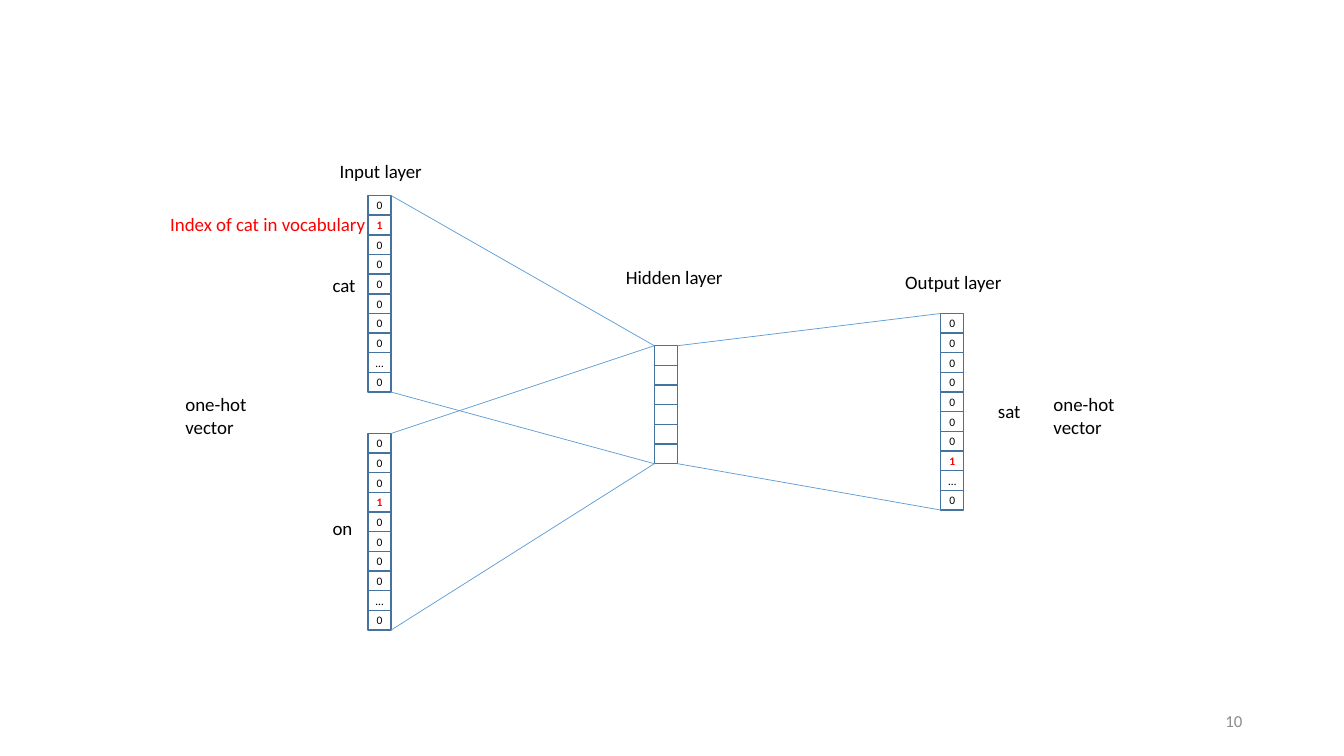
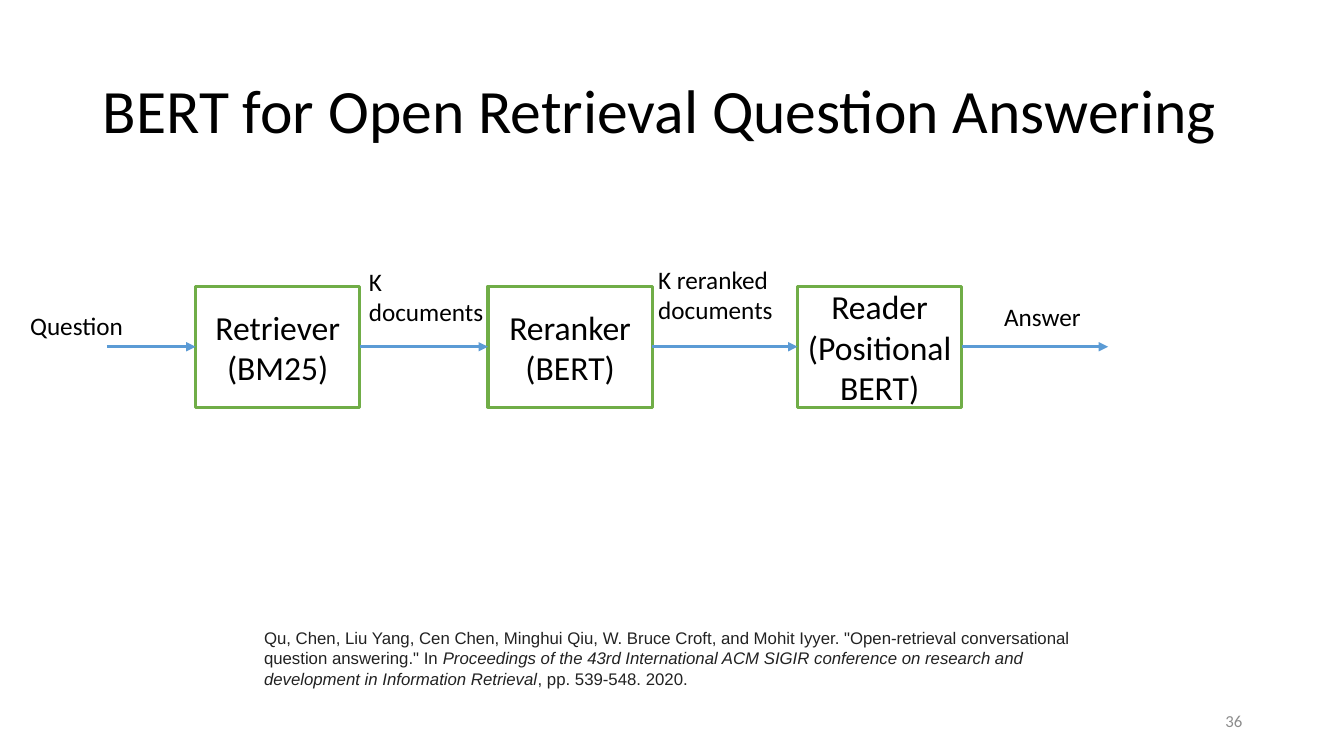
from pptx import Presentation
from pptx.dml.color import RGBColor
from pptx.enum.shapes import MSO_CONNECTOR, MSO_SHAPE
from pptx.enum.text import MSO_ANCHOR, PP_ALIGN
from pptx.oxml.ns import qn
from pptx.util import Inches, Pt
from lxml import etree

RECT = MSO_SHAPE.RECTANGLE
LINE = MSO_CONNECTOR.STRAIGHT
TOP, MID = MSO_ANCHOR.TOP, MSO_ANCHOR.MIDDLE
LEFT, MIDDLE, RIGHT = PP_ALIGN.LEFT, PP_ALIGN.CENTER, PP_ALIGN.RIGHT

BLACK = RGBColor(0x00, 0x00, 0x00)
WHITE = RGBColor(0xFF, 0xFF, 0xFF)
RED = RGBColor(0xFF, 0x00, 0x00)
GREY = RGBColor(0x8C, 0x8C, 0x8C)
DARK = RGBColor(0x22, 0x22, 0x22)
BLUE = RGBColor(0x5B, 0x9B, 0xD5)
NAVY = RGBColor(0x43, 0x73, 0x9E)
GREEN = RGBColor(0x70, 0xAD, 0x47)
FONT = "Calibri"


def write(shape, text, size, color=BLACK, align=LEFT, anchor=TOP, wrap=True):
    """Put text in a shape, one paragraph per line."""
    frame = shape.text_frame
    frame.text = text
    frame.word_wrap = wrap
    frame.vertical_anchor = anchor
    for para in frame.paragraphs:
        para.alignment = align
        para.font.name = FONT
        para.font.size = Pt(size)
        para.font.color.rgb = color
    return frame


def link(slide, x1, y1, x2, y2, width, arrow=False):
    """Draw a straight blue line, with an arrowhead if asked."""
    line = slide.shapes.add_connector(
        LINE, Inches(x1), Inches(y1), Inches(x2), Inches(y2))
    line.line.color.rgb = BLUE
    line.line.width = Pt(width)
    props = line._element.spPr
    if arrow:
        etree.SubElement(props.find(qn("a:ln")), qn("a:tailEnd"), type="triangle")
    etree.SubElement(props, qn("a:effectLst"))


deck = Presentation()
deck.slide_width, deck.slide_height = Inches(13.33), Inches(7.5)
blank = deck.slide_layouts[6]

# Slides with their page numbers
net, flow = [deck.slides.add_slide(blank) for _ in range(2)]
for slide, page in ((net, "10"), (flow, "36")):
    box = slide.shapes.add_textbox(Inches(9.42), Inches(6.95), Inches(3), Inches(0.4))
    write(box, page, 12, GREY, RIGHT, MID)

# Word vectors: left, top, cells
WIDE, HIGH = 0.23, 0.195
vectors = [
    (3.65, 1.94, "01000000…0"),
    (3.65, 4.3, "00010000…0"),
    (6.49, 3.43, " " * 6),
    (9.33, 3.11, "00000001…0"),
]
for left, top, cells in vectors:
    for row, mark in enumerate(cells):
        cell = net.shapes.add_shape(RECT, Inches(left), Inches(top + row * HIGH),
                                    Inches(WIDE), Inches(HIGH))
        cell.shadow.inherit = False
        cell.fill.background()
        cell.line.color.rgb = NAVY
        cell.line.width = Pt(1)
        hot = mark == "1"
        frame = write(cell, mark.strip(), 8.2, RED if hot else BLACK,
                      MIDDLE, MID, False)
        frame.paragraphs[0].font.bold = hot
        frame.margin_left = frame.margin_right = 0
        frame.margin_top = frame.margin_bottom = 0

# Lines between the corners of linked vectors
cat, on, hidden, sat = vectors
for start, end in ((cat, hidden), (on, hidden), (hidden, sat)):
    for edge in (0, HIGH):
        link(net, start[0] + WIDE, start[1] + edge * len(start[2]),
             end[0], end[1] + edge * len(end[2]), 0.5)

# Labels of the network
labels = [
    (3.27, 1.53, 1.03, 0.33, "Input layer", BLACK),
    (6.11, 2.59, 1.18, 0.33, "Hidden layer", BLACK),
    (8.88, 2.64, 1.17, 0.33, "Output layer", BLACK),
    (3.2, 2.67, 0.43, 0.33, "cat", BLACK),
    (3.2, 5.08, 0.4, 0.33, "on", BLACK),
    (9.8, 3.92, 0.43, 0.33, "sat", BLACK),
    (1.74, 3.85, 0.82, 0.56, "one-hot\nvector", BLACK),
    (10.35, 3.85, 0.82, 0.56, "one-hot\nvector", BLACK),
    (1.59, 2.06, 2.17, 0.33, "Index of cat in vocabulary", RED),
]
for *place, text, color in labels:
    box = net.shapes.add_textbox(*map(Inches, place))
    write(box, text, 13.5, color, wrap=False)

# Title
box = flow.shapes.add_textbox(Inches(0.92), Inches(0.4), Inches(11.5), Inches(1.45))
frame = write(box, "BERT for Open Retrieval Question Answering", 44, anchor=MID)
frame.paragraphs[0].line_spacing = 0.9

# Stages
SIDE, TALL, ROW = 1.63, 1.2, 3.44
stages = [
    (1.94, "Retriever\n(BM25)"),
    (4.84, "Reranker\n(BERT)"),
    (7.91, "Reader\n(Positional BERT)"),
]
for left, text in stages:
    stage = flow.shapes.add_shape(RECT, Inches(left), Inches(ROW - TALL / 2),
                                  Inches(SIDE), Inches(TALL))
    stage.shadow.inherit = False
    stage.fill.solid()
    stage.fill.fore_color.rgb = WHITE
    stage.line.color.rgb = GREEN
    stage.line.width = Pt(2.25)
    write(stage, text, 24, align=MIDDLE, anchor=MID)

# Arrows into, between and out of the stages
starts = [1.06] + [left + SIDE for left, _ in stages]
ends = [left for left, _ in stages] + [10.99]
for start, end in zip(starts, ends):
    link(flow, start, ROW, end, ROW, 2.25, arrow=True)

# Arrow labels
for *place, text in [
    (0.2, 3.03, 1.25, 0.4, "Question"),
    (3.56, 2.59, 1.38, 0.71, "K documents"),
    (6.43, 2.57, 1.38, 0.71, "K reranked documents"),
    (9.86, 2.94, 1.25, 0.4, "Answer"),
]:
    box = flow.shapes.add_textbox(*map(Inches, place))
    write(box, text, 18)

# Citation
box = flow.shapes.add_textbox(Inches(2.52), Inches(6.18), Inches(8.59), Inches(0.71))
para = write(box, "", 12, DARK).paragraphs[0]
para.font.name = "Arial"
for text, slant in [
    ("Qu, Chen, Liu Yang, Cen Chen, Minghui Qiu, W. Bruce Croft, and Mohit Iyyer. "
     "\"Open-retrieval conversational question answering.\" In ", False),
    ("Proceedings of the 43rd International ACM SIGIR conference on research and "
     "development in Information Retrieval", True),
    (", pp. 539-548. 2020.", False),
]:
    run = para.add_run()
    run.text = text
    run.font.italic = slant

deck.save("out.pptx")
